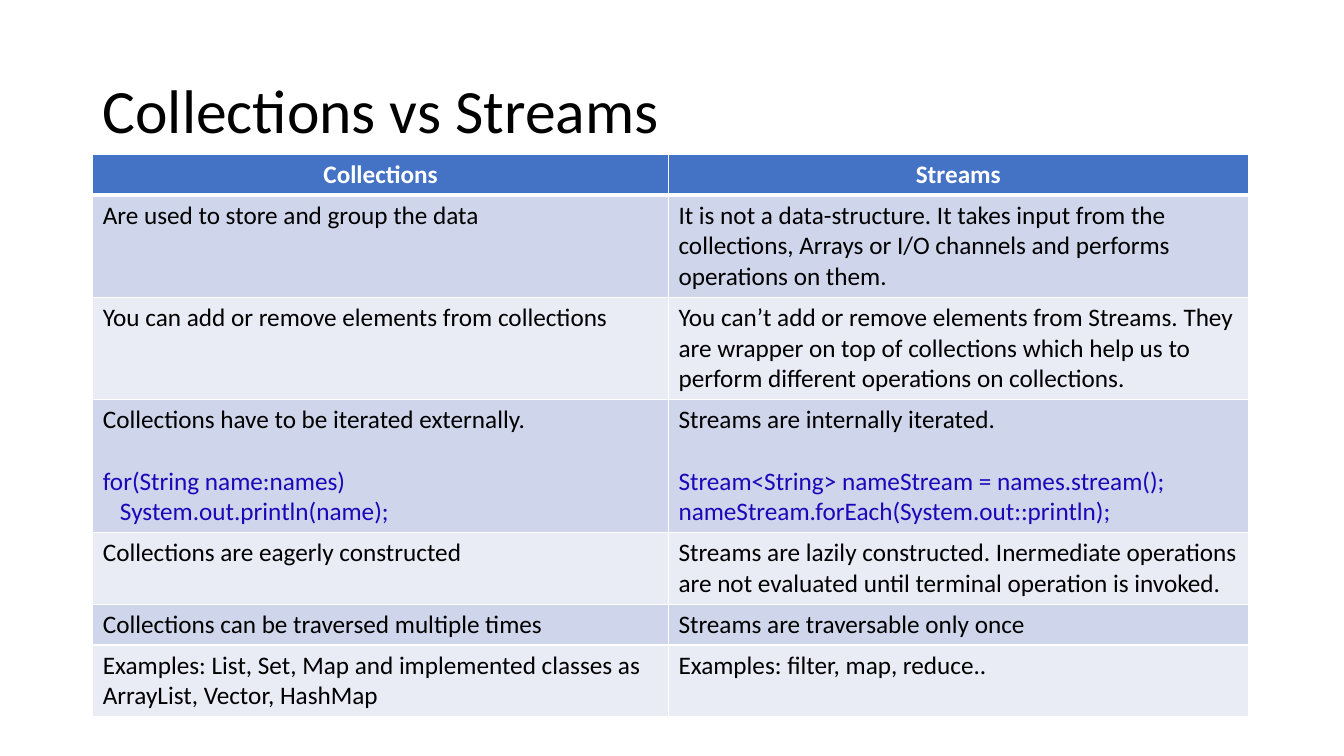
"""Build a slide that compares Java collections with streams in a table."""
from lxml import etree
from pptx import Presentation
from pptx import util as u
from pptx.dml.color import RGBColor
from pptx.enum import text
from pptx.oxml.ns import qn

THEME = {
    "font": "Calibri", "title": 44, "body": 18,
    "black": "000000", "white": "FFFFFF", "code": "1B06BA",
    "header": "4472C4", "bands": ("E9EBF5", "CFD5EA"),
}
LINE = 0.305
PADDING = 0.1
CODE_INDENT = 0.17

ROWS = [
    (1, "Collections", "Streams"),
    (3, "Are used to store and group the data",
     "It is not a data-structure. It takes input from the collections, Arrays or I/O "
     "channels and performs operations on them."),
    (3, "You can add or remove elements from collections",
     "You can’t add or remove elements from Streams. They are wrapper on top of "
     "collections which help us to perform different operations on collections."),
    (4, "Collections have to be iterated externally.", "Streams are internally iterated."),
    (2, "Collections are eagerly constructed",
     "Streams are lazily constructed. Inermediate operations are not evaluated until "
     "terminal operation is invoked."),
    (1, "Collections can be traversed multiple times", "Streams are traversable only once"),
    (2, "Examples: List, Set, Map and implemented classes as ArrayList, Vector, HashMap",
     "Examples: filter, map, reduce.."),
]
ITERATION_ROW = 3
CODE = [
    [("for(String name:names)", 0), ("System.out.println(name);", CODE_INDENT)],
    [("Stream<String> nameStream = names.stream();", 0),
     ("nameStream.forEach(System.out::println);", 0)],
]


def write(paragraph, words, size=THEME["body"], color=THEME["black"], bold=False,
          align=text.PP_ALIGN.LEFT, before=0, indent=0, spacing=1.0):
    run = paragraph.add_run()
    run.text = words
    run.font.name, run.font.size, run.font.bold = THEME["font"], u.Pt(size), bold
    run.font.color.rgb = RGBColor.from_string(color)
    paragraph.alignment = align
    paragraph.space_before = u.Pt(before)
    paragraph.line_spacing = spacing
    if indent:
        paragraph._p.get_or_add_pPr().set("marL", str(u.Inches(indent)))


def add_border(cell, side, points):
    line = etree.SubElement(cell._tc.get_or_add_tcPr(), qn("a:ln" + side), w=str(u.Pt(points)))
    fill = etree.SubElement(line, qn("a:solidFill"))
    etree.SubElement(fill, qn("a:srgbClr"), val=THEME["white"])


presentation = Presentation()
presentation.slide_width, presentation.slide_height = u.Inches(13.33), u.Inches(7.5)
slide = presentation.slides.add_slide(presentation.slide_layouts[6])

title = slide.shapes.add_textbox(u.Inches(0.92), u.Inches(0.4), u.Inches(11.5), u.Inches(1.45))
title.text_frame.word_wrap = True
title.text_frame.vertical_anchor = text.MSO_ANCHOR.MIDDLE
write(title.text_frame.paragraphs[0], "Collections vs Streams", size=THEME["title"], spacing=0.9)

widths = (5.71, 5.75)
heights = [PADDING + LINE * lines for lines, *_ in ROWS]
table = slide.shapes.add_table(len(ROWS), len(widths), u.Inches(0.92), u.Inches(1.53),
                               u.Inches(sum(widths)), u.Inches(sum(heights))).table
for column, width in zip(table.columns, widths):
    column.width = u.Inches(width)

for row_index, (lines, *entries) in enumerate(ROWS):
    table.rows[row_index].height = u.Inches(heights[row_index])
    is_header = row_index == 0
    for column_index, words in enumerate(entries):
        cell = table.cell(row_index, column_index)
        for side in "LRTB":
            beside_header = (row_index, side) in ((0, "B"), (1, "T"))
            add_border(cell, side, 3 if beside_header else 1)
        cell.fill.solid()
        cell.fill.fore_color.rgb = RGBColor.from_string(
            THEME["header"] if is_header else THEME["bands"][row_index % 2])
        frame = cell.text_frame
        if is_header:
            write(frame.paragraphs[0], words, color=THEME["white"], bold=True,
                  align=text.PP_ALIGN.CENTER)
        else:
            write(frame.paragraphs[0], words)
        if row_index == ITERATION_ROW:
            for code_index, (code, indent) in enumerate(CODE[column_index]):
                write(frame.add_paragraph(), code, color=THEME["code"], indent=indent,
                      before=22 if code_index == 0 else 0)

presentation.save("out.pptx")
